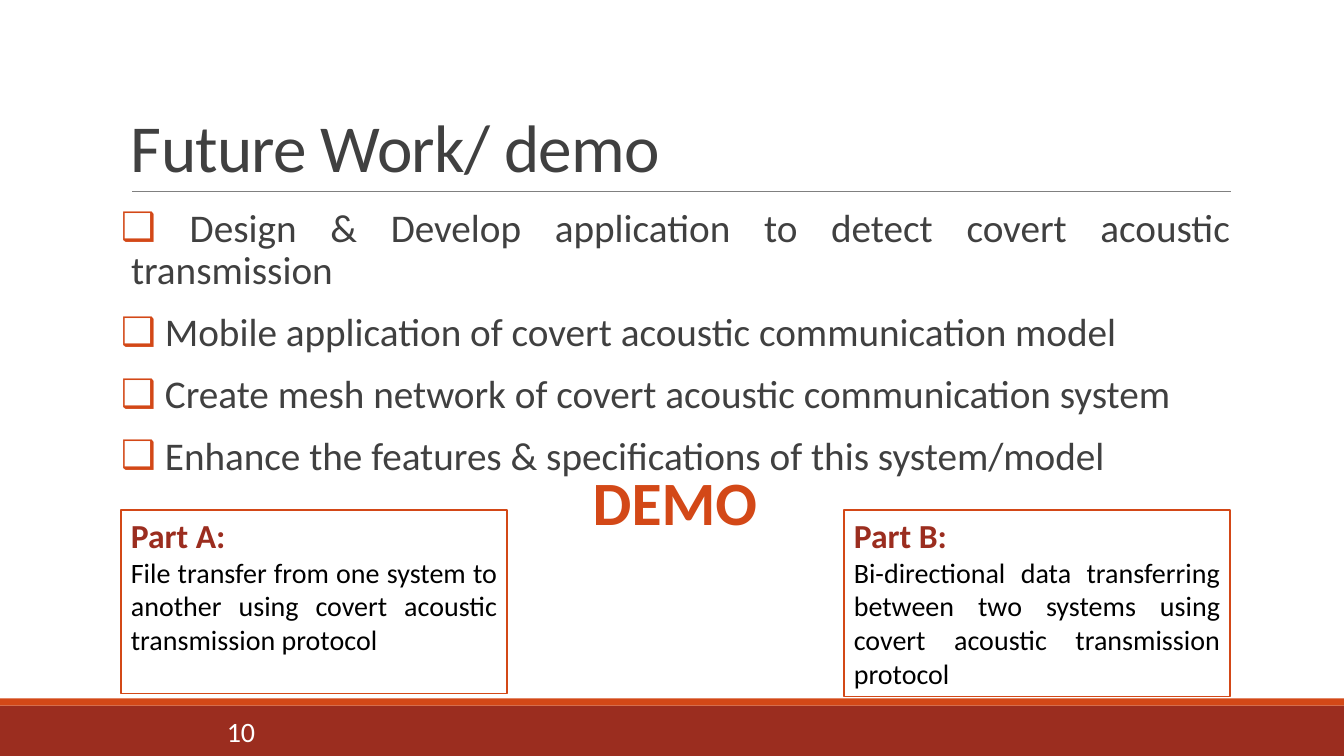
import pptx
import pptx.util
import pptx.dml.color
import pptx.enum.shapes
import pptx.enum.text
import pptx.oxml
import pptx.oxml.ns
from lxml import etree

TITLE = "Future Work/ demo"
GOALS = [
    " Design & Develop application to detect covert acoustic transmission",
    " Mobile application of covert acoustic communication model",
    " Create mesh network of covert acoustic communication system",
    " Enhance the features & specifications of this system/model",
]
DEMO = "DEMO"
PARTS = [
    ("Part A:", "File transfer from one system to another using covert acoustic "
     "transmission protocol", 1.82),
    ("Part B:", "Bi-directional data transferring between two systems using covert "
     "acoustic transmission protocol", 1.85),
]
PAGE = "10"
COLORS = {"dark": "9B2D1F", "accent": "D34817", "rule": "808080",
          "text": "404040", "black": "000000", "white": "FFFFFF"}
FONT = "Calibri"
WIDTH, HEIGHT = 13.33, 7.5
LEFT, CONTENT_W = 1.2, 11
PART_W, PART_TOP = 3.83, 5.06

Inches, Pt = pptx.util.Inches, pptx.util.Pt
ALIGN, ANCHOR = pptx.enum.text.PP_ALIGN, pptx.enum.text.MSO_ANCHOR


def rgb(name):
    return pptx.dml.color.RGBColor.from_string(COLORS[name])


def add_rect(s, x, y, w, h, fill, line=None):
    sp = s.shapes.add_shape(pptx.enum.shapes.MSO_SHAPE.RECTANGLE,
                            Inches(x), Inches(y), Inches(w), Inches(h))
    sp.shadow.inherit = False
    sp.fill.solid()
    sp.fill.fore_color.rgb = rgb(fill)
    if line:
        sp.line.color.rgb = rgb(line)
        sp.line.width = Pt(1.25)
    else:
        sp.line.fill.background()
    return sp


def add_box(s, x, y, w, h, anchor=ANCHOR.TOP, wrap=True):
    tf = s.shapes.add_textbox(Inches(x), Inches(y), Inches(w), Inches(h)).text_frame
    tf.word_wrap = wrap
    tf.vertical_anchor = anchor
    return tf


def write(p, text, size, color, bold=False, align=ALIGN.LEFT):
    p.text = text
    p.alignment = align
    f = p.runs[0].font
    f.name, f.size, f.bold = FONT, Pt(size), bold
    f.color.rgb = rgb(color)


def add_bullet(p):
    ns = pptx.oxml.ns.qn
    pPr = p._p.get_or_add_pPr()
    pPr.set("marL", str(Inches(0.1)))
    pPr.set("indent", str(Inches(-0.1)))
    clr = etree.SubElement(pPr, ns("a:buClr"))
    etree.SubElement(clr, ns("a:srgbClr"), val=COLORS["accent"])
    etree.SubElement(pPr, ns("a:buFont"), typeface="Wingdings")
    pPr[-1].set("typeface", FONT)
    etree.SubElement(pPr, ns("a:buChar"), char="❑")


def add_frame(s):
    add_rect(s, 0, 7, WIDTH, 0.5, "dark")
    add_rect(s, 0, 6.93, WIDTH, 0.07, "accent")
    rule = s.shapes.add_connector(pptx.enum.shapes.MSO_CONNECTOR.STRAIGHT,
                                  Inches(1.31), Inches(1.9), Inches(12.21), Inches(1.9))
    rule.line.color.rgb = rgb("rule")
    rule.line.width = Pt(0.5)
    etree.SubElement(rule._element.spPr, pptx.oxml.ns.qn("a:effectLst"))


def add_title(s):
    p = add_box(s, LEFT, 0.31, CONTENT_W, 1.59, ANCHOR.BOTTOM).paragraphs[0]
    write(p, TITLE, 48, "text")
    p.line_spacing = 0.85
    p.runs[0].font._element.set("spc", "-50")


def add_goals(s):
    tf = add_box(s, LEFT, 2.02, CONTENT_W, 4.4)
    tf.margin_left = tf.margin_right = 0
    for i, goal in enumerate(GOALS):
        p = tf.add_paragraph() if i else tf.paragraphs[0]
        write(p, goal, 28, "text", align=ALIGN.JUSTIFY)
        p.line_spacing, p.space_before, p.space_after = 0.9, Pt(12), Pt(2)
        add_bullet(p)


def add_parts(s):
    step = CONTENT_W - PART_W
    for i, (head, detail, height) in enumerate(PARTS):
        sp = add_rect(s, LEFT + i * step, PART_TOP, PART_W, height, "white", "accent")
        tf = sp.text_frame
        tf.word_wrap = True
        tf.vertical_anchor = ANCHOR.TOP
        write(tf.paragraphs[0], head, 24, "dark", bold=True)
        write(tf.add_paragraph(), detail, 20, "black", align=ALIGN.JUSTIFY)


def main():
    prs = pptx.Presentation()
    prs.slide_width, prs.slide_height = Inches(WIDTH), Inches(HEIGHT)
    s = prs.slides.add_slide(prs.slide_layouts[6])
    add_frame(s)
    add_title(s)
    add_goals(s)
    demo = add_box(s, 5.78, 4.55, 1.85, 0.84, wrap=False)
    write(demo.paragraphs[0], DEMO, 44, "accent", bold=True)
    add_parts(s)
    page = add_box(s, LEFT, 7.06, 1.43, 0.4, ANCHOR.MIDDLE)
    write(page.paragraphs[0], PAGE, 20, "white", align=ALIGN.RIGHT)
    prs.save("out.pptx")


if __name__ == "__main__":
    main()
